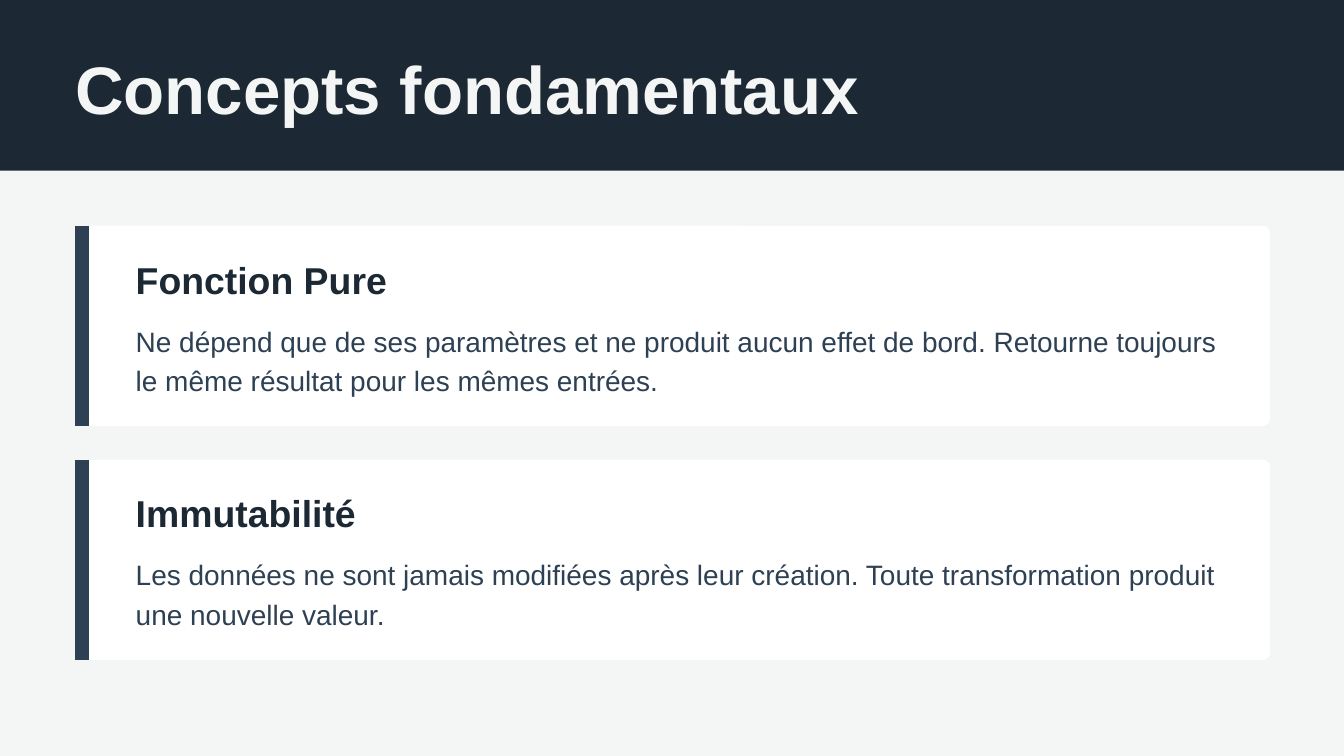
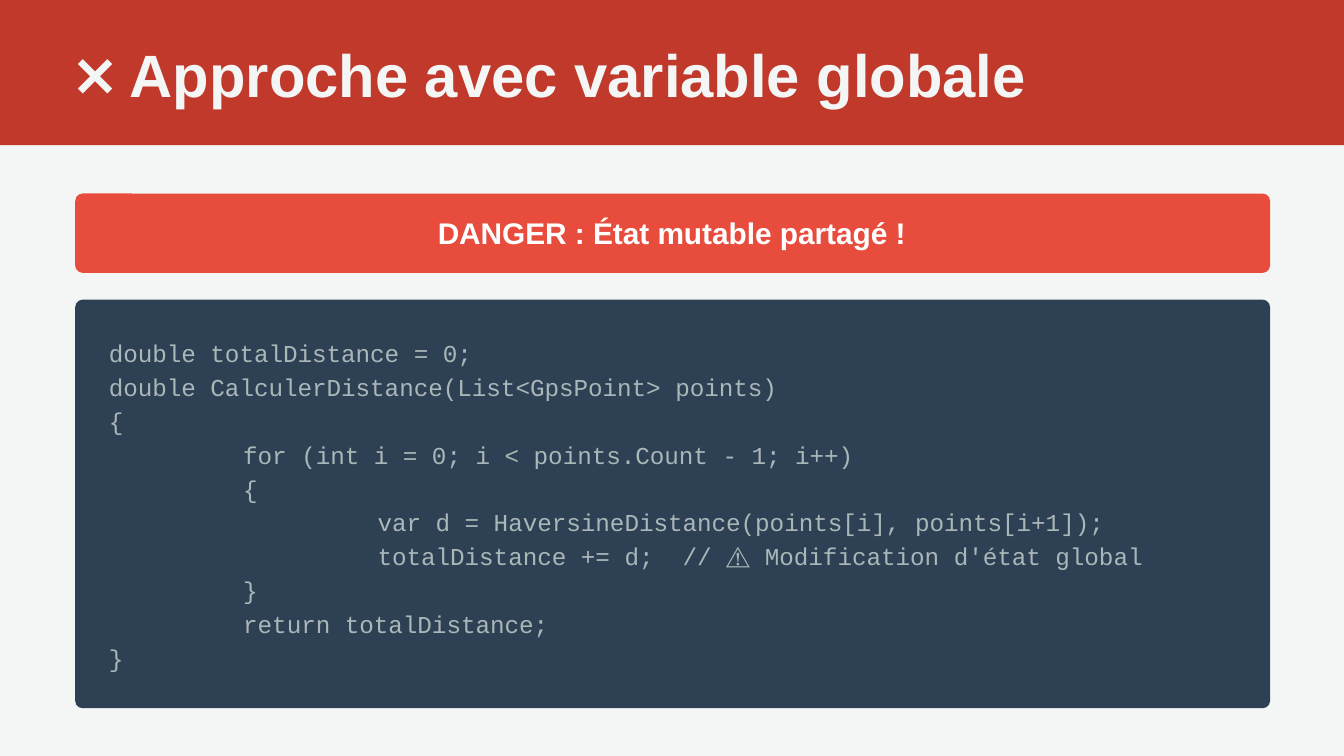
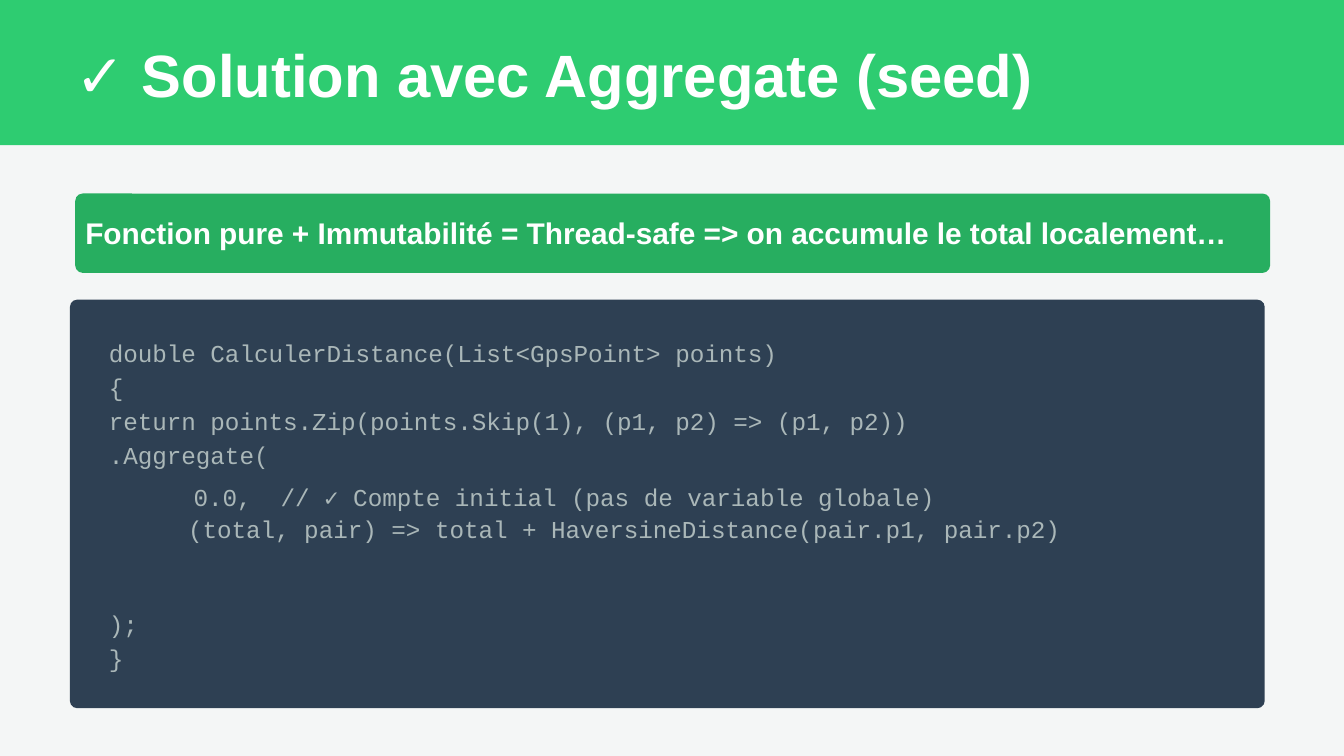
import collections

import lxml.etree
import pptx
import pptx.dml.color
import pptx.enum.shapes
import pptx.enum.text
import pptx.oxml.ns
import pptx.util

Inches = pptx.util.Inches
Pt = pptx.util.Pt
RGBColor = pptx.dml.color.RGBColor
MSO_SHAPE = pptx.enum.shapes.MSO_SHAPE
PP_ALIGN = pptx.enum.text.PP_ALIGN

PAPER = RGBColor(0xF4, 0xF6, 0xF6)
WHITE = RGBColor(0xFF, 0xFF, 0xFF)
NIGHT = RGBColor(0x1C, 0x28, 0x33)
SLATE = RGBColor(0x2E, 0x40, 0x53)
CODE_GREY = RGBColor(0xAA, 0xB7, 0xB8)
DARK_RED = RGBColor(0xC0, 0x39, 0x2B)
RED = RGBColor(0xE7, 0x4C, 0x3C)
GREEN = RGBColor(0x2E, 0xCC, 0x71)
DARK_GREEN = RGBColor(0x27, 0xAE, 0x60)

SANS = "Arial"
MONO = "Courier New"
SLIDE_WIDTH = 10
SLIDE_HEIGHT = SLIDE_WIDTH * 9 / 16
MARGIN = 0.56
CONTENT_WIDTH = 8.89
CORNER_RADIUS = 0.055
LINE_PITCH = 2.27 / 9
CODE_RIGHT = 9.37
TAB_WIDTH = 1

Box = collections.namedtuple("Box", "left top width height")
CodeLine = collections.namedtuple("CodeLine", "row indent text")

CONCEPTS = [
    ("Fonction Pure",
     "Ne dépend que de ses paramètres et ne produit aucun effet de bord. "
     "Retourne toujours le même résultat pour les mêmes entrées."),
    ("Immutabilité",
     "Les données ne sont jamais modifiées après leur création. "
     "Toute transformation produit une nouvelle valeur."),
]

GLOBAL_CODE = [
    "double totalDistance = 0;",
    "double CalculerDistance(List<GpsPoint> points)",
    "{",
    "\tfor (int i = 0; i < points.Count - 1; i++)",
    "\t{",
    "\t\tvar d = HaversineDistance(points[i], points[i+1]);",
    "\t\ttotalDistance += d;  // ⚠️ Modification d'état global",
    "\t}",
    "\treturn totalDistance;",
    "}",
]

AGGREGATE_CODE = [
    CodeLine(0, 0, "double CalculerDistance(List<GpsPoint> points)"),
    CodeLine(1, 0, "{"),
    CodeLine(2, 0, "return points.Zip(points.Skip(1), (p1, p2) => (p1, p2))"),
    CodeLine(3, 0, ".Aggregate("),
    CodeLine(4.25, 0.63, "0.0,  // ✓ Compte initial (pas de variable globale)"),
    CodeLine(5.2, 0.59, "(total, pair) => total + HaversineDistance("),
    CodeLine(5.2, 5.24, "pair.p1, pair.p2)"),
    CodeLine(8, 0, ");"),
    CodeLine(9, 0, "}"),
]


def inches(box):
    """Convert a box to the lengths python-pptx expects."""
    return [Inches(length) for length in box]


def write(frame, text, size, color, font=SANS, bold=False,
          align=PP_ALIGN.LEFT, line_spacing=None, space_after=None):
    """Write one formatted paragraph in a text frame without margins."""
    frame.word_wrap = True
    frame.auto_size = pptx.enum.text.MSO_AUTO_SIZE.NONE
    frame.vertical_anchor = pptx.enum.text.MSO_ANCHOR.TOP
    frame.margin_left = frame.margin_right = 0
    frame.margin_top = frame.margin_bottom = 0
    paragraph = frame.paragraphs[0]
    paragraph.alignment = align
    if "\t" in text:
        properties = paragraph._p.get_or_add_pPr()
        properties.set("defTabSz", str(Inches(TAB_WIDTH)))
    if line_spacing:
        paragraph.line_spacing = Pt(line_spacing)
    if space_after:
        paragraph.space_after = Pt(space_after)
    run = paragraph.add_run()
    run.text = text
    run.font.name = font
    run.font.size = Pt(size)
    run.font.bold = bold
    run.font.color.rgb = color


def add_text(slide, box, text, **style):
    """Add a text box holding one formatted paragraph."""
    write(slide.shapes.add_textbox(*inches(box)).text_frame, text, **style)


def add_panel(slide, box, color, kind=MSO_SHAPE.ROUNDED_RECTANGLE):
    """Add a plain filled shape whose corners share one radius."""
    panel = slide.shapes.add_shape(kind, *inches(box))
    panel.shadow.inherit = False
    panel.fill.solid()
    panel.fill.fore_color.rgb = color
    panel.line.fill.background()
    if kind == MSO_SHAPE.ROUNDED_RECTANGLE:
        panel.adjustments[0] = CORNER_RADIUS / box.height
    return panel


def add_accent(slide, box):
    """Draw the thick vertical line along the left edge of a card."""
    x = Inches(box.left + 0.05)
    accent = slide.shapes.add_connector(
        pptx.enum.shapes.MSO_CONNECTOR.STRAIGHT,
        x, Inches(box.top), x, Inches(box.top + box.height))
    accent.line.color.rgb = SLATE
    accent.line.width = Pt(7.5)
    properties = accent.element.find(pptx.oxml.ns.qn("p:spPr"))
    lxml.etree.SubElement(properties, pptx.oxml.ns.qn("a:effectLst"))


def add_titled_slide(deck, title, band_color, band_height=1.08,
                     title_top=0.28, size=32, color=PAPER):
    """Start a slide with a coloured band behind its title."""
    slide = deck.slides.add_slide(deck.slide_layouts[5])
    slide.background.fill.solid()
    slide.background.fill.fore_color.rgb = PAPER
    band = add_panel(slide, Box(0, 0, SLIDE_WIDTH, band_height),
                     band_color, MSO_SHAPE.RECTANGLE)
    heading = slide.shapes.title
    heading.element.addprevious(band.element)
    heading.left, heading.top, heading.width, heading.height = inches(
        Box(MARGIN, title_top, 9.07, size / 62))
    write(heading.text_frame, title, size=size, color=color, bold=True)
    return slide


def add_concept_card(slide, box, name, definition):
    """Add a white card with a concept name and its definition."""
    add_panel(slide, box, WHITE)
    add_accent(slide, box)
    left, width = box.left + 0.45, box.width - 0.64
    add_text(slide, Box(left, box.top + 0.23, width, 0.32), name,
             size=20, color=NIGHT, bold=True, space_after=10)
    add_text(slide, Box(left, box.top + 0.69, width, 0.58), definition,
             size=15, color=SLATE, line_spacing=21)


def add_banner(slide, box, message, color, inset_left, inset_right=0.2):
    """Add a coloured banner with a centred message."""
    add_panel(slide, box, color)
    message_box = Box(box.left + inset_left, box.top + 0.16,
                      box.width - inset_left - inset_right, 0.26)
    add_text(slide, message_box, message, size=16, color=WHITE,
             bold=True, align=PP_ALIGN.CENTER)


def add_code_panel(slide, box, lines, inset):
    """Add a dark panel with code lines placed by row and indent."""
    add_panel(slide, box, SLATE)
    for line in lines:
        left = box.left + inset + line.indent
        top = box.top + 0.25 + line.row * LINE_PITCH
        add_text(slide, Box(left, top, CODE_RIGHT - left, 0.25), line.text,
                 size=13, color=CODE_GREY, font=MONO, line_spacing=18.2)


def build_concepts(deck):
    """Build the slide that defines the concepts."""
    slide = add_titled_slide(deck, "Concepts fondamentaux", NIGHT,
                             band_height=1.27, title_top=0.35, size=36)
    for index, (name, definition) in enumerate(CONCEPTS):
        card = Box(MARGIN, 1.68 + index * 1.74, CONTENT_WIDTH, 1.49)
        add_concept_card(slide, card, name, definition)


def build_code_slide(deck, title, title_color, band_color, message,
                     banner_color, message_inset, lines, code_left, code_inset):
    """Build a slide with a banner above a code panel."""
    slide = add_titled_slide(deck, title, band_color, color=title_color)
    add_banner(slide, Box(MARGIN, 1.44, CONTENT_WIDTH, 0.59),
               message, banner_color, message_inset)
    add_code_panel(slide, Box(code_left, 2.23, CONTENT_WIDTH, 3.04),
                   lines, code_inset)


def main():
    """Build the deck and save it."""
    deck = pptx.Presentation()
    deck.slide_width = Inches(SLIDE_WIDTH)
    deck.slide_height = Inches(SLIDE_HEIGHT)
    build_concepts(deck)
    build_code_slide(
        deck, "❌ Approche avec variable globale", PAPER, DARK_RED,
        "DANGER : État mutable partagé !", RED, message_inset=0.19,
        lines=[CodeLine(row, 0, text) for row, text in enumerate(GLOBAL_CODE)],
        code_left=MARGIN, code_inset=0.25)
    build_code_slide(
        deck, "✓ Solution avec Aggregate (seed)", WHITE, GREEN,
        "Fonction pure + Immutabilité = Thread-safe => "
        "on accumule le total localement…", DARK_GREEN, message_inset=-0.04,
        lines=AGGREGATE_CODE, code_left=0.52, code_inset=0.29)
    deck.save("out.pptx")


if __name__ == "__main__":
    main()
